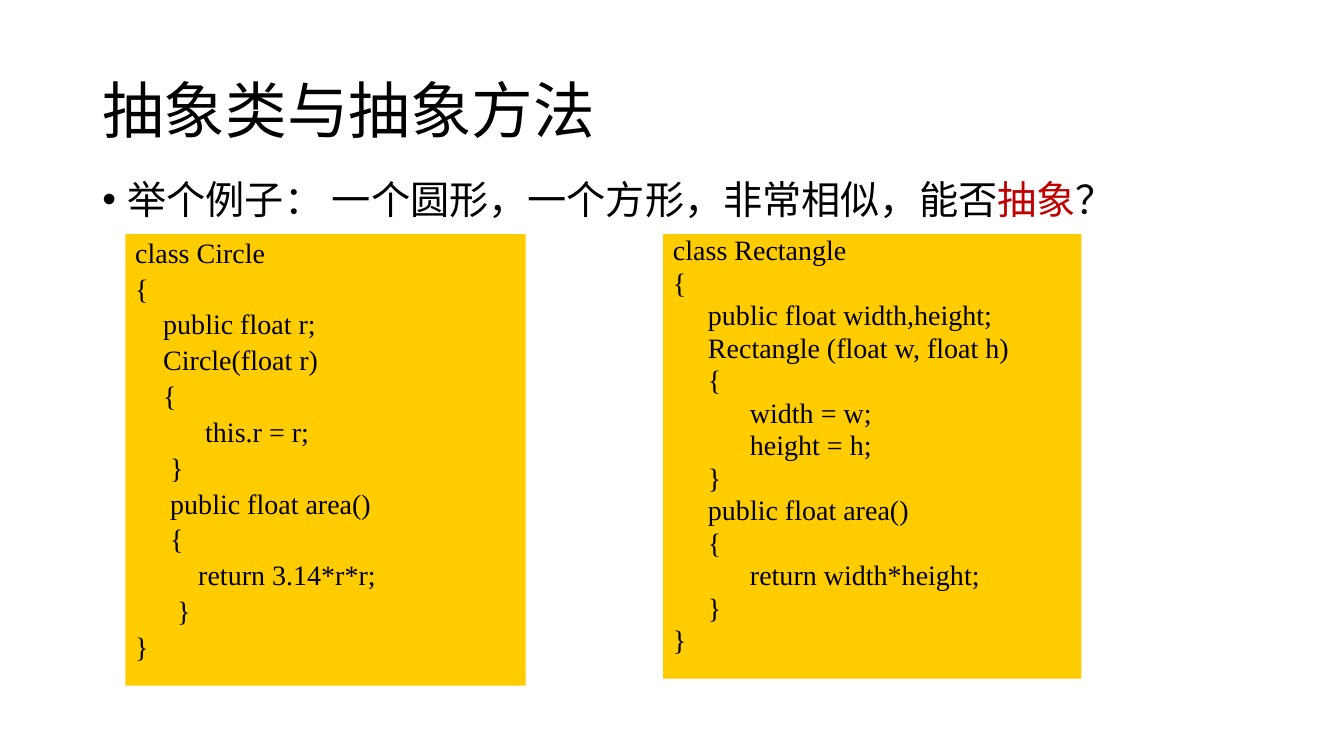
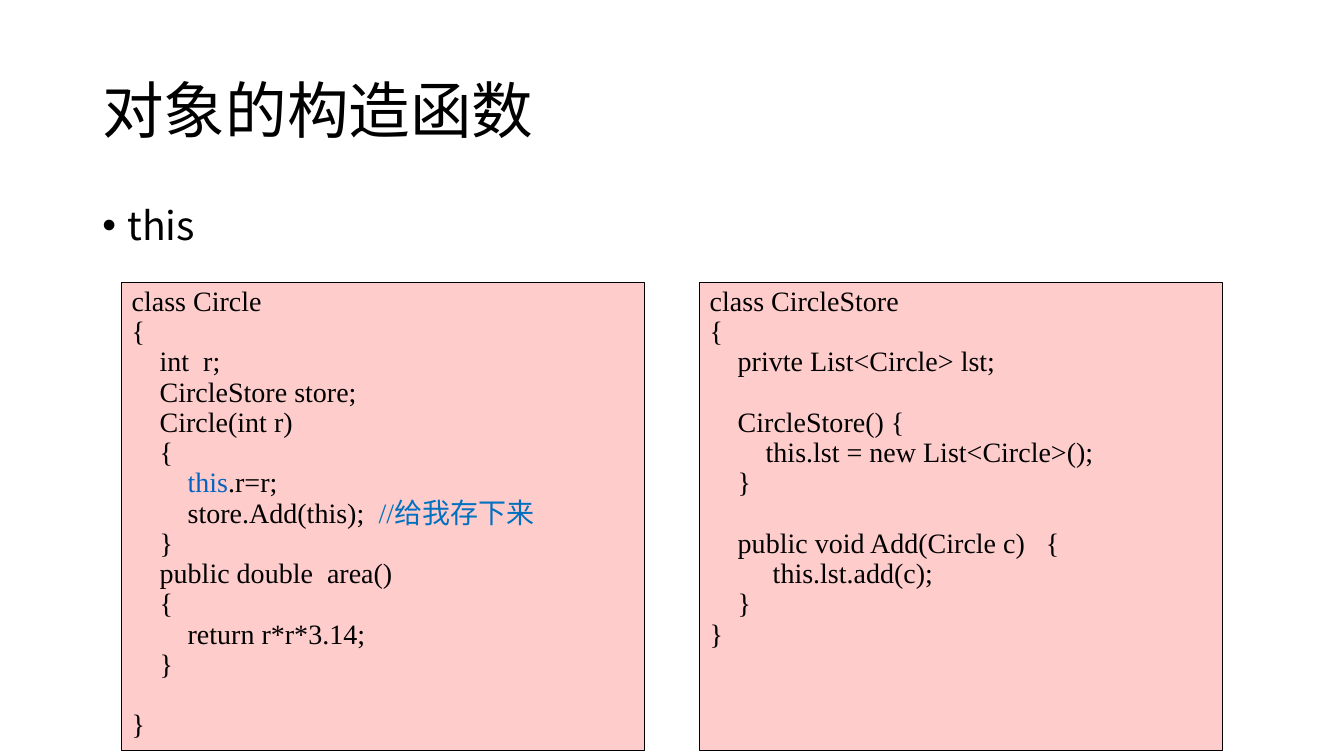
import pptx
import pptx.util
import pptx.dml.color
import pptx.enum.shapes
import pptx.enum.text
import lxml.etree
from pptx.oxml.ns import qn

Pt = pptx.util.Pt
TOP = pptx.enum.text.MSO_ANCHOR.TOP
MID = pptx.enum.text.MSO_ANCHOR.MIDDLE
LEFT = pptx.enum.text.PP_ALIGN.LEFT
RECT = pptx.enum.shapes.MSO_SHAPE.RECTANGLE

HUES = {"ink": "000000", "red": "C00000", "link": "0563C1",
        "note": "0070C0", "gold": "FFCC00", "pink": "FFCCCC"}
SANS, SERIF = "Noto Sans CJK SC", "Times New Roman"
SPACE = 5

TITLE = {"size": 44, "font": SANS, "lead": 0.9, "before": 0, "anchor": MID}
POINT = {"size": 28, "font": SANS, "lead": 0.9, "before": 10, "anchor": TOP}
CODE = {"size": 20, "font": SERIF, "lead": 0.9, "before": 4, "anchor": TOP}
DENSE = {**CODE, "lead": 0.8}
PLAIN = {**CODE, "before": 0}

ROUND = """class Circle
{
    public float r;
    Circle(float r)
    {
          this.r = r;
     }
     public float area()
     {
         return 3.14*r*r;
      }
}"""

SQUARE = """class Rectangle
{
     public float width,height;
     Rectangle (float w, float h)
     {
           width = w;
           height = h;
     }
     public float area()
     {
           return width*height;
     }
}"""

SELF = """class Circle
{
    int  r;
    CircleStore store;
    Circle(int r)
    {
        ~link:this~.r=r;
        store.Add(this);  ~note://给我存下来~
    }
    public double  area()
    {
        return r*r*3.14;
    }

}"""

STORE = """class CircleStore
{
    privte List<Circle> lst;

    CircleStore() {
        this.lst = new List<Circle>();
    }

    public void Add(Circle c)   {
         this.lst.add(c);
    }
}"""

SLIDES = [
    {"title": "抽象类与抽象方法",
     "point": "举个例子： 一个圆形，一个方形，非常相似，能否~red:抽象~？",
     "top": 125.3, "fill": "gold", "line": None,
     "boxes": [((89.5, 167.2, 286, 322.6), ROUND, CODE),
               ((473.6, 167.2, 298.8, 317.5), SQUARE, DENSE)]},
    {"title": "对象的构造函数",
     "point": "this",
     "top": 144, "fill": "pink", "line": "ink",
     "boxes": [((87, 201.6, 373.2, 334.2), SELF, PLAIN),
               ((499.9, 201.6, 373.2, 334.2), STORE, PLAIN)]},
]


def assign(item, values):
    for name, value in values.items():
        setattr(item, name, value)


def hue(name):
    return pptx.dml.color.RGBColor.from_string(HUES[name])


def add_runs(para, text, style):
    for turn, part in enumerate(text.split("~")):
        tone = "ink"
        if turn % 2:
            tone, part = part.split(":", 1)
        if not part:
            continue
        run = para.add_run()
        run.text = part
        assign(run.font, {"size": Pt(style["size"]), "name": style["font"]})
        run.font.color.rgb = hue(tone)
        east = lxml.etree.SubElement(run.font._element, qn("a:ea"))
        east.set("typeface", SANS)


def write(shape, text, style):
    frame = shape.text_frame
    assign(frame, {"word_wrap": True, "vertical_anchor": style["anchor"]})
    pitch = style["size"] * 1.2 * style["lead"] + style["before"]
    para, gap = frame.paragraphs[0], style["before"]
    for line in text.split("\n"):
        code = line.lstrip(" ")
        if not code:
            gap += pitch
            continue
        if para.runs:
            para = frame.add_paragraph()
        assign(para, {"alignment": LEFT, "line_spacing": style["lead"],
                      "space_before": Pt(gap)})
        indent = (len(line) - len(code)) * SPACE
        if indent:
            para._p.get_or_add_pPr().set("marL", str(Pt(indent)))
        add_runs(para, code, style)
        gap = style["before"]


def add_text(slide, place, text, style):
    box = slide.shapes.add_textbox(*map(Pt, place))
    write(box, text, style)
    return box


def add_point(slide, top, text):
    box = add_text(slide, (66, top, 828, 42), text, POINT)
    props = box.text_frame.paragraphs[0]._p.get_or_add_pPr()
    props.set("marL", str(Pt(18)))
    props.set("indent", str(-Pt(18)))
    lxml.etree.SubElement(props, qn("a:buFont")).set("typeface", "Arial")
    lxml.etree.SubElement(props, qn("a:buChar")).set("char", "•")


def add_code(slide, place, text, style, fill, line):
    box = slide.shapes.add_shape(RECT, *map(Pt, place))
    box.shadow.inherit = False
    box.fill.solid()
    box.fill.fore_color.rgb = hue(fill)
    if line:
        box.line.color.rgb = hue(line)
        box.line.width = Pt(0.75)
    else:
        box.line.fill.background()
    write(box, text, style)


def main():
    deck = pptx.Presentation()
    assign(deck, {"slide_width": Pt(960), "slide_height": Pt(540)})
    for page in SLIDES:
        slide = deck.slides.add_slide(deck.slide_layouts[6])
        add_text(slide, (66, 28.8, 828, 104.4), page["title"], TITLE)
        add_point(slide, page["top"], page["point"])
        for place, text, style in page["boxes"]:
            add_code(slide, place, text, style, page["fill"], page["line"])
    deck.save("out.pptx")


if __name__ == "__main__":
    main()
